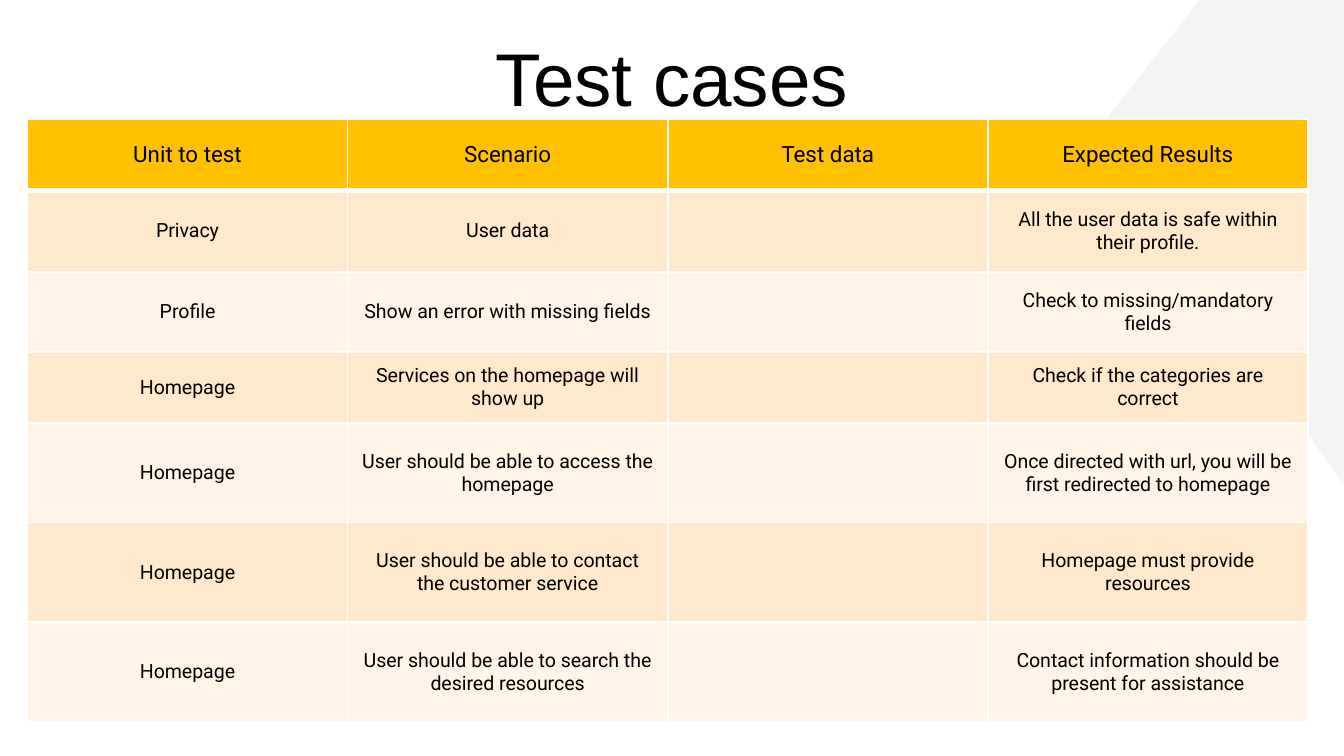
from lxml.etree import SubElement
from pptx import Presentation
from pptx.dml.color import RGBColor
from pptx.enum.shapes import MSO_SHAPE as Shape
from pptx.enum.text import MSO_ANCHOR as Anchor, PP_ALIGN as Align
from pptx.oxml.ns import qn
from pptx.util import Cm, Pt

BLACK = RGBColor(0x00, 0x00, 0x00)
WHITE = RGBColor(0xFF, 0xFF, 0xFF)
GREY = RGBColor(0xF3, 0xF3, 0xF3)
AMBER = RGBColor(0xFF, 0xC1, 0x00)
PEACH = RGBColor(0xFF, 0xE9, 0xCC)
CREAM = RGBColor(0xFF, 0xF4, 0xE7)

COLUMN_WIDTH = 6.05
ROW_HEIGHTS = [1.35, 1.54, 1.51, 1.35, 1.88, 1.88, 1.88]
TEST_CASES = [
    ["Unit to test", "Scenario", "Test data", "Expected Results"],
    ["Privacy", "User data", "", "All the user data is safe within their profile."],
    ["Profile", "Show an error with missing fields", "", "Check to missing/mandatory fields"],
    ["Homepage", "Services on the homepage will show up", "", "Check if the categories are correct"],
    ["Homepage", "User should be able to access the homepage", "",
     "Once directed with url, you will be first redirected to homepage"],
    ["Homepage", "User should be able to contact the customer service", "",
     "Homepage must provide resources"],
    ["Homepage", "User should be able to search the desired resources", "",
     "Contact information should be present for assistance"],
]


def write_text(frame, text, font_name, size):
    para = frame.paragraphs[0]
    para.alignment = Align.CENTER
    span = para.add_run()
    span.text = text
    span.font.name = font_name
    span.font.size = Pt(size)
    span.font.color.rgb = BLACK


def add_corner_triangle(page):
    triangle = page.shapes.add_shape(
        Shape.ISOSCELES_TRIANGLE, Cm(16.71), Cm(0.46), Cm(12.62), Cm(4.75))
    triangle.rotation = 270
    triangle.adjustments[0] = 0.52
    triangle.shadow.inherit = False
    triangle.fill.solid()
    triangle.fill.fore_color.rgb = GREY
    triangle.line.fill.background()


def add_title(page, text):
    box = page.shapes.add_textbox(Cm(1.45), Cm(0.64), Cm(22.5), Cm(1.6))
    frame = box.text_frame
    frame.word_wrap = True
    frame.vertical_anchor = Anchor.MIDDLE
    frame.margin_top = frame.margin_bottom = Cm(0.25)
    write_text(frame, text, "Arial", 40)


def add_borders(cell, bottom_width):
    properties = cell._tc.get_or_add_tcPr()
    for side, width in (("L", 1), ("R", 1), ("T", 1), ("B", bottom_width)):
        line = SubElement(properties, qn(f"a:ln{side}"), w=str(Pt(width)))
        fill = SubElement(line, qn("a:solidFill"))
        SubElement(fill, qn("a:srgbClr"), val=str(WHITE))


def style_cell(cell, text, color, size, bottom_width):
    add_borders(cell, bottom_width)
    cell.fill.solid()
    cell.fill.fore_color.rgb = color
    cell.vertical_anchor = Anchor.MIDDLE
    if text:
        write_text(cell.text_frame, text, "Roboto", size)


def add_case_table(page, rows):
    column_count = len(rows[0])
    table = page.shapes.add_table(
        len(rows), column_count, Cm(0.52), Cm(2.25),
        Cm(COLUMN_WIDTH * column_count), Cm(sum(ROW_HEIGHTS))).table
    for column in table.columns:
        column.width = Cm(COLUMN_WIDTH)
    for index, (texts, height) in enumerate(zip(rows, ROW_HEIGHTS)):
        table.rows[index].height = Cm(height)
        if index == 0:
            style = (AMBER, 12, 3)
        else:
            style = (PEACH if index % 2 else CREAM, 10.5, 1)
        for cell, text in zip(table.rows[index].cells, texts):
            style_cell(cell, text, *style)


def main():
    deck = Presentation()
    deck.slide_width = Cm(25.4)
    deck.slide_height = Cm(14.29)
    page = deck.slides.add_slide(deck.slide_layouts[6])
    add_corner_triangle(page)
    add_title(page, "Test cases")
    add_case_table(page, TEST_CASES)
    deck.save("out.pptx")


if __name__ == "__main__":
    main()
